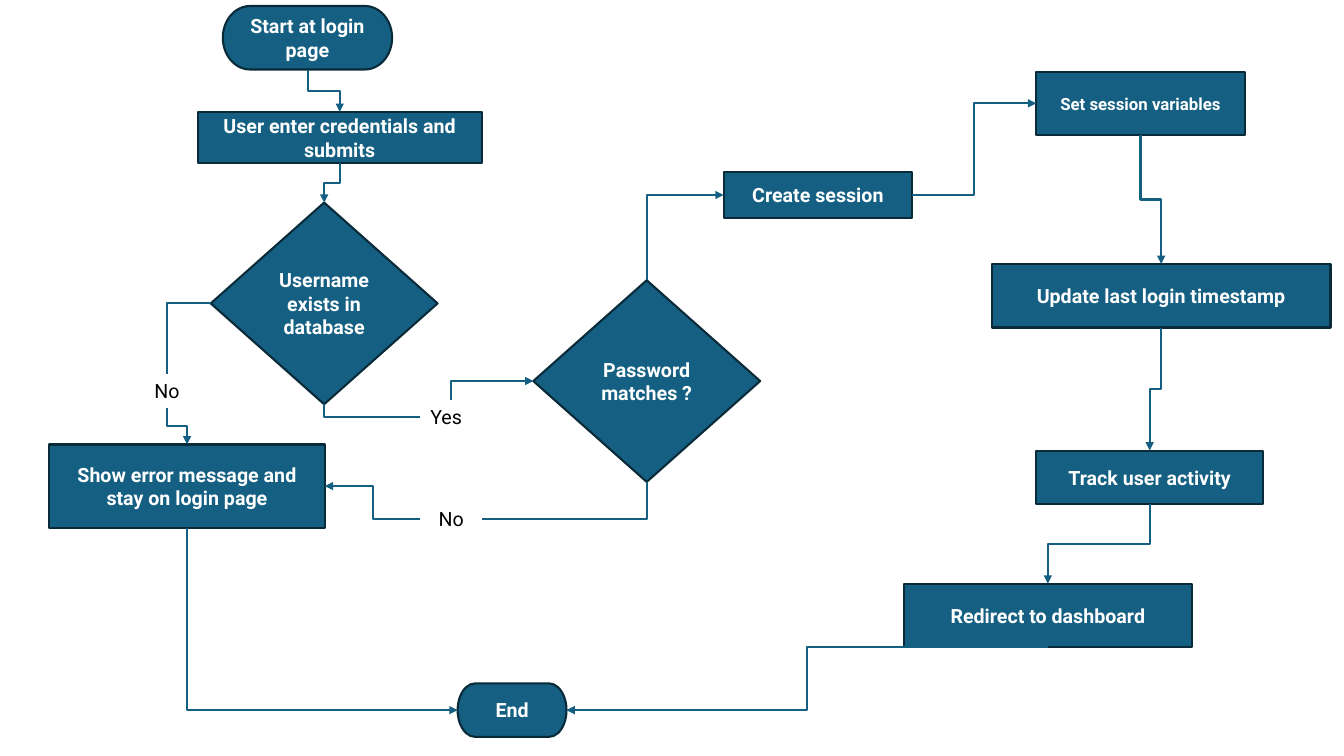
import pptx
import pptx.util
import pptx.dml.color
import pptx.enum.shapes
import pptx.enum.text
import pptx.oxml.ns
import lxml.etree
from dataclasses import dataclass

Kind = pptx.enum.shapes.MSO_SHAPE
Align = pptx.enum.text.PP_ALIGN
Pt = pptx.util.Pt
qn = pptx.oxml.ns.qn
TOP, LEFT, BOTTOM, RIGHT = range(4)


@dataclass(frozen=True)
class Theme:
    font: str = "Roboto"
    fill: str = "156082"
    edge: str = "092A39"
    light: str = "FFFFFF"
    dark: str = "000000"
    size: float = 14
    small: float = 12
    line: float = 1.5


THEME = Theme()
WIDE = pptx.util.Inches(13.33)
HIGH = pptx.util.Inches(7.5)
COL, ROW = WIDE / 100, HIGH / 100

STEPS = {
    "start": (Kind.FLOWCHART_TERMINATOR, "Start at login page", 16.58, 0.8, 12.6, 8.4),
    "enter": (Kind.RECTANGLE, "User enter credentials and submits", 14.7, 14.8, 21.15, 6.8),
    "user": (Kind.DIAMOND, "Username exists in database", 15.68, 26.8, 16.88, 26.67),
    "error": (Kind.RECTANGLE, "Show error message and stay on login page", 3.68, 58.8, 20.48, 11),
    "create": (Kind.RECTANGLE, "Create session", 53.85, 22.8, 14.03, 6),
    "set": (Kind.RECTANGLE, "Set session variables", 77.1, 9.47, 15.53, 8.4),
    "update": (Kind.RECTANGLE, "Update last login timestamp", 73.8, 34.93, 25.2, 8.4),
    "track": (Kind.RECTANGLE, "Track user activity", 77.1, 59.6, 16.88, 7.07),
    "board": (Kind.RECTANGLE, "Redirect to dashboard", 67.28, 77.2, 21.38, 8.4),
    "end": (Kind.FLOWCHART_TERMINATOR, "End", 34.05, 90.4, 8.1, 7.07),
    "pass": (Kind.DIAMOND, "Password matches ?", 39.68, 37.07, 16.88, 26.67),
}

LABELS = {
    "no user": ("No", Align.CENTER, 9.98, 49.47, 4.88, 4.53),
    "yes": ("Yes", Align.LEFT, 31.28, 52.93, 4.58, 4.53),
    "no pass": ("No", Align.CENTER, 31.28, 66.4, 4.58, 4.53),
}

LINKS = [
    ("start", BOTTOM, "enter", TOP, "vhv", True),
    ("enter", BOTTOM, "user", TOP, "vhv", True),
    ("user", LEFT, "no user", TOP, "hv", False),
    ("no user", BOTTOM, "error", TOP, "vhv", True),
    ("no pass", LEFT, "error", RIGHT, "hvh", True),
    ("user", BOTTOM, "yes", LEFT, "vh", False),
    ("yes", TOP, "pass", LEFT, "vh", True),
    ("pass", BOTTOM, "no pass", RIGHT, "vh", False),
    ("pass", TOP, "create", LEFT, "vh", True),
    ("create", RIGHT, "set", LEFT, "hvh", True),
    ("set", BOTTOM, "update", TOP, "vhv", True),
    ("update", BOTTOM, "track", TOP, "vhv", True),
    ("track", BOTTOM, "board", TOP, "vhv", True),
    ("board", BOTTOM, "end", RIGHT, "hvh", True),
    ("error", BOTTOM, "end", LEFT, "vh", True),
]


def rgb(code):
    return pptx.dml.color.RGBColor.from_string(code)


def place(x, y, w, h):
    return round(x * COL), round(y * ROW), round(w * COL), round(h * ROW)


def write(shape, text, color, size, bold, align):
    frame = shape.text_frame
    frame.word_wrap = True
    para = frame.paragraphs[0]
    para.text = text
    para.alignment = align
    font = para.font
    font.name, font.size, font.bold = THEME.font, Pt(size), bold
    font.color.rgb = rgb(color)


def step(slide, kind, text, *spot, size=THEME.size):
    shape = slide.shapes.add_shape(kind, *place(*spot))
    shape.shadow.inherit = False
    shape.fill.solid()
    shape.fill.fore_color.rgb = rgb(THEME.fill)
    shape.line.color.rgb = rgb(THEME.edge)
    shape.line.width = Pt(THEME.line)
    shape.text_frame.vertical_anchor = pptx.enum.text.MSO_ANCHOR.MIDDLE
    write(shape, text, THEME.light, size, True, Align.CENTER)
    return shape


def label(slide, text, align, *spot):
    box = slide.shapes.add_textbox(*place(*spot))
    write(box, text, THEME.dark, THEME.size, False, align)
    box.text_frame.auto_size = pptx.enum.text.MSO_AUTO_SIZE.SHAPE_TO_FIT_TEXT
    return box


def bend(link, route):
    x, y = link.begin_x, link.begin_y
    dx, dy = link.end_x - x, link.end_y - y
    if route[0] == "h":
        wide, high = abs(dx), abs(dy)
        turn = 0 if dx > 0 else 180
        flips = False, (dy < 0) == (turn == 0)
    else:
        wide, high = abs(dy), abs(dx)
        turn = 270 if dx * dy > 0 else 90
        flips = (dy < 0) == (turn == 90), (dx > 0) == (turn == 90)
    link.left = round(x + (dx - wide) / 2)
    link.top = round(y + (dy - high) / 2)
    link.width, link.height = wide, high
    link.rotation = turn
    props = link._element.spPr
    props.xfrm.flipH, props.xfrm.flipV = flips
    props.find(qn("a:prstGeom")).set("prst", f"bentConnector{len(route)}")


def join(slide, start, out, end, into, route, arrow):
    elbow = pptx.enum.shapes.MSO_CONNECTOR.ELBOW
    link = slide.shapes.add_connector(elbow, 0, 0, 0, 0)
    link.begin_connect(start, out)
    link.end_connect(end, into)
    bend(link, route)
    link.line.color.rgb = rgb(THEME.fill)
    link.line.width = Pt(THEME.line)
    props = link._element.spPr
    if arrow:
        lxml.etree.SubElement(props.find(qn("a:ln")), qn("a:tailEnd"), type="triangle")
    lxml.etree.SubElement(props, qn("a:effectLst"))


def main():
    deck = pptx.Presentation()
    deck.slide_width, deck.slide_height = WIDE, HIGH
    slide = deck.slides.add_slide(deck.slide_layouts[6])
    nodes = {}
    for name, spec in STEPS.items():
        size = THEME.small if name == "set" else THEME.size
        nodes[name] = step(slide, *spec, size=size)
    for name, item in LABELS.items():
        nodes[name] = label(slide, *item)
    for start, out, end, into, route, arrow in LINKS:
        join(slide, nodes[start], out, nodes[end], into, route, arrow)
    deck.save("out.pptx")


if __name__ == "__main__":
    main()
